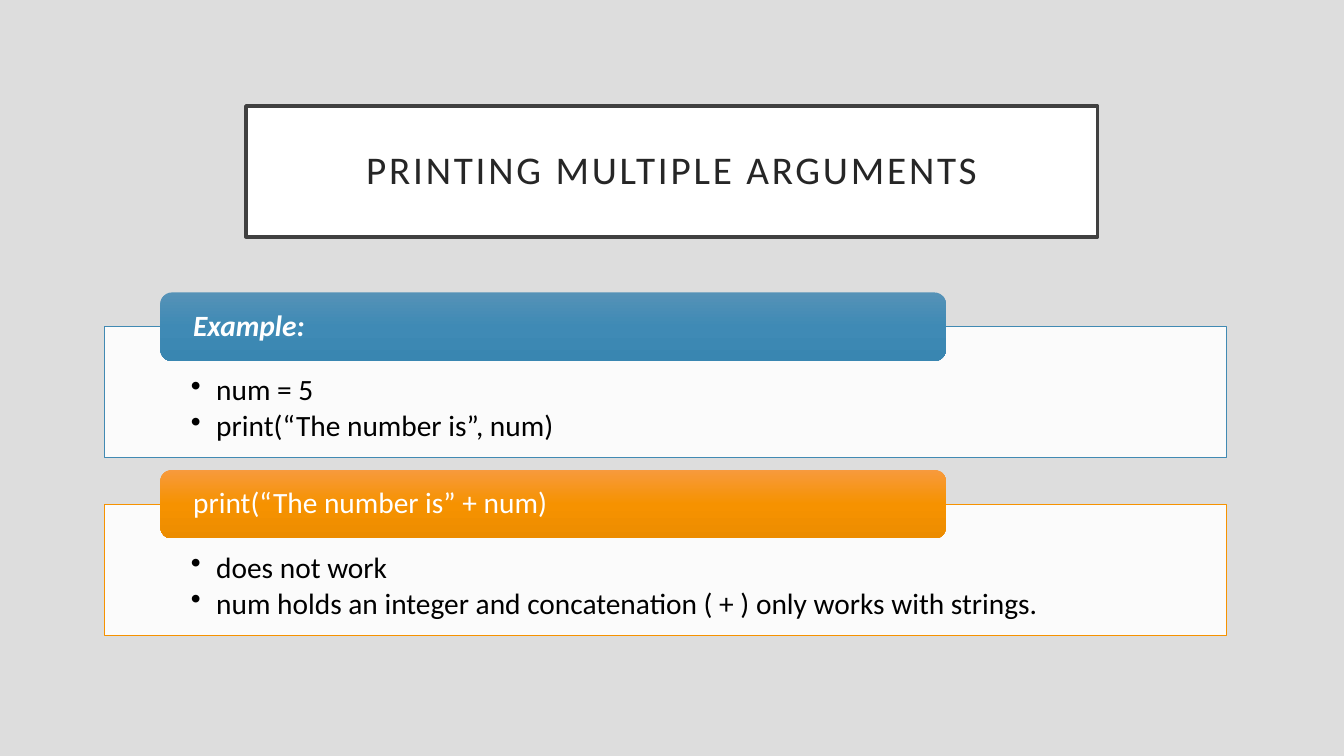
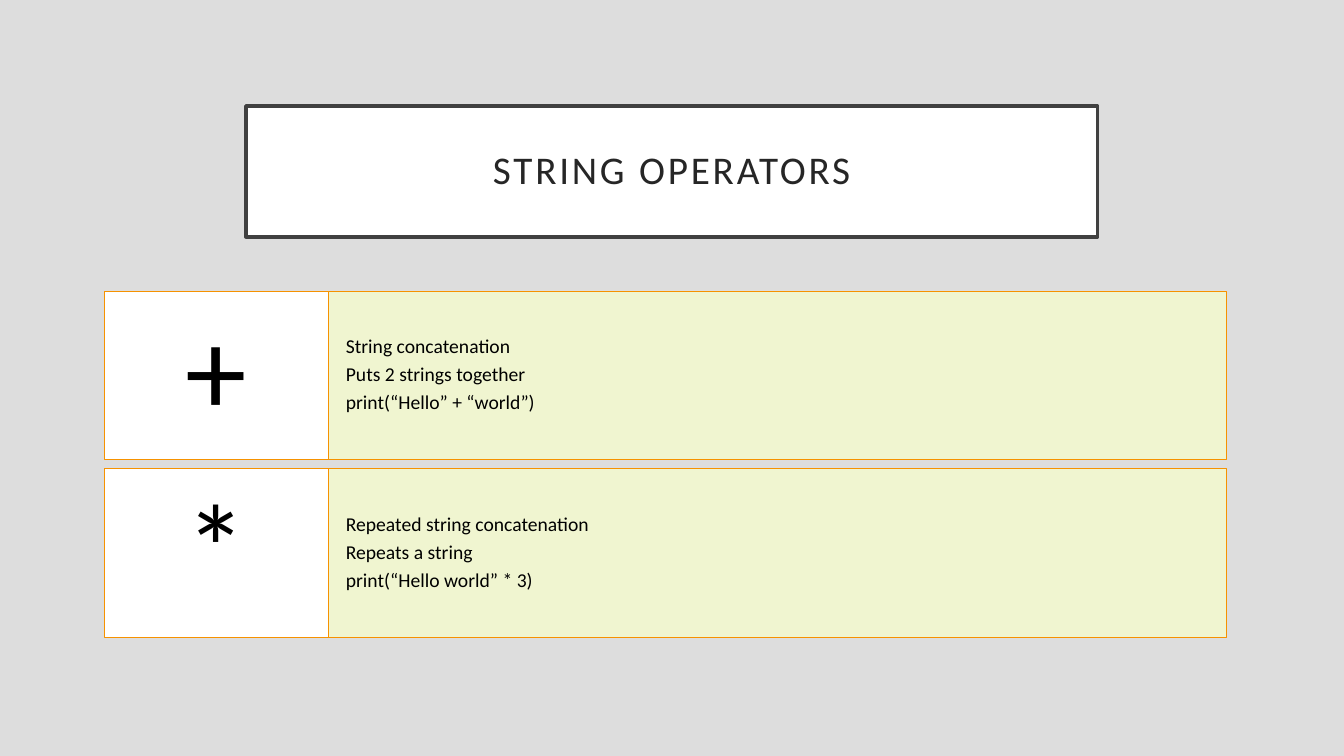
"""Build two slides on printing and string operators."""
from copy import deepcopy
from dataclasses import dataclass

from pptx import Presentation
from pptx import util as u
from pptx.dml.color import RGBColor
from pptx.enum import shapes, text
from pptx.oxml.ns import qn
from pptx.oxml.xmlchemy import OxmlElement


@dataclass(frozen=True)
class Theme:
    """Colours, font and type sizes of the presentation."""
    font: str = "Calibri"
    background: str = "DDDDDD"
    white: str = "FFFFFF"
    black: str = "000000"
    frame: str = "404040"
    title: str = "262626"
    blue: str = "418AB3"
    orange: str = "F69200"
    pale_green: str = "F0F5D0"
    blue_gradient: tuple = ("5592B7", "3F8AB5", "3986B1")
    orange_gradient: tuple = ("F79A3D", "F69200", "EC8C00")
    title_size: int = 28
    card_size: int = 21
    detail_size: int = 14
    symbol_size: int = 88
    hairline: float = 0.5
    frame_line: float = 2.5


@dataclass(frozen=True)
class Box:
    """A rectangle measured in centimetres."""
    left: float
    top: float
    width: float
    height: float

    def lengths(self):
        """Return the four measures as lengths."""
        return [u.Cm(n) for n in (self.left, self.top, self.width, self.height)]

    def rows(self, count, gap):
        """Split the box into equal rows."""
        height = (self.height - gap * (count - 1)) / count
        return [Box(self.left, self.top + i * (height + gap), self.width, height)
                for i in range(count)]


THEME = Theme()
TITLE_BOX = Box(6.2, 2.67, 21.46, 3.3)
CARDS_BOX = Box(2.63, 7.37, 28.28, 8.63)
OPERATORS_BOX = Box(2.63, 7.34, 28.28, 8.71)


def rgb(code):
    """Turn a hex code into a colour."""
    return RGBColor.from_string(code)


def paint(shape, fill, line, width):
    """Give a shape a solid fill and an outline."""
    shape.fill.solid()
    shape.fill.fore_color.rgb = rgb(fill)
    shape.line.color.rgb = rgb(line)
    shape.line.width = u.Pt(width)


def add_panel(slide, box, fill, line):
    """Add a thinly outlined rectangle."""
    shape = slide.shapes.add_shape(shapes.MSO_SHAPE.RECTANGLE, *box.lengths())
    shape.shadow.inherit = False
    paint(shape, fill, line, THEME.hairline)
    return shape


def set_opacity(shape, percent):
    """Make a solid fill partly transparent."""
    alpha = OxmlElement("a:alpha")
    alpha.set("val", str(percent * 1000))
    shape._element.spPr.find(qn("a:solidFill"))[0].append(alpha)


def set_gradient(shape, colors):
    """Fill a shape from top to bottom with three colours."""
    shape.fill.gradient()
    shape.fill.gradient_angle = 270
    stop_list = shape._element.spPr.find(".//" + qn("a:gsLst"))
    stop_list.append(deepcopy(stop_list[0]))
    for stop, color, position in zip(shape.fill.gradient_stops, colors, (0, 0.5, 1)):
        stop.color.rgb = rgb(color)
        stop.position = position


def set_bullet(paragraph):
    """Give a paragraph a hanging bullet."""
    properties = paragraph._p.get_or_add_pPr()
    properties.set("marL", str(u.Cm(0.64)))
    properties.set("indent", str(-u.Cm(0.64)))
    bullet = OxmlElement("a:buChar")
    bullet.set("char", "•")
    properties.append(bullet)


def write(shape, lines, size, color, insets, *, anchor=text.MSO_ANCHOR.MIDDLE,
          align=text.PP_ALIGN.LEFT, after=0.35, bullets=False, emphasis=False):
    """Write one paragraph per line and return the runs."""
    frame = shape.text_frame
    frame.word_wrap = True
    frame.auto_size = text.MSO_AUTO_SIZE.NONE
    frame.vertical_anchor = anchor
    frame.margin_left = frame.margin_right = u.Cm(insets[0])
    frame.margin_top, frame.margin_bottom = u.Cm(insets[1]), u.Cm(insets[2])
    runs = []
    for index, line in enumerate(lines):
        paragraph = frame.add_paragraph() if index else frame.paragraphs[0]
        paragraph.alignment = align
        paragraph.line_spacing = 0.9
        paragraph.space_before = u.Pt(0)
        paragraph.space_after = u.Pt(round(size * after, 2))
        if bullets:
            set_bullet(paragraph)
        run = paragraph.add_run()
        run.text = line
        run.font.name = THEME.font
        run.font.size = u.Pt(size)
        run.font.color.rgb = rgb(color)
        if emphasis:
            run.font.bold = run.font.italic = True
        runs.append(run)
    return runs


def add_titled_slide(presentation, title):
    """Add a title-only slide with the framed title."""
    slide = presentation.slides.add_slide(presentation.slide_layouts[5])
    shape = slide.shapes.title
    shape.left, shape.top, shape.width, shape.height = TITLE_BOX.lengths()
    paint(shape, THEME.white, THEME.frame, THEME.frame_line)
    runs = write(shape, [title], THEME.title_size, THEME.title, (0.51, 0.51, 0.51),
                 align=text.PP_ALIGN.CENTER, after=0)
    runs[0].font._element.set("spc", "200")
    return slide


def add_card(slide, box, heading, lines, color, gradient, emphasis):
    """Add a bulleted panel with a rounded heading over its top edge."""
    tab_height = 1.73
    overlap = tab_height / 2
    panel = add_panel(slide, Box(box.left, box.top + overlap, box.width,
                                 box.height - overlap), THEME.white, color)
    set_opacity(panel, 90)
    write(panel, lines, THEME.card_size, THEME.black, (2.18, 1.22, 0.41),
          anchor=text.MSO_ANCHOR.TOP, after=0.15, bullets=True)
    tab_box = Box(box.left + box.width * 0.05, box.top, box.width * 0.7, tab_height)
    tab = slide.shapes.add_shape(shapes.MSO_SHAPE.ROUNDED_RECTANGLE, *tab_box.lengths())
    tab.shadow.inherit = False
    tab.line.fill.background()
    set_gradient(tab, gradient)
    write(tab, [heading], THEME.card_size, THEME.white, (0.74, 0, 0), emphasis=emphasis)


def add_operator(slide, box, symbol, lines):
    """Add an operator symbol beside its description."""
    symbol_width = box.width * 0.2
    details = add_panel(slide, Box(box.left + symbol_width, box.top,
                                   box.width - symbol_width, box.height),
                        THEME.pale_green, THEME.orange)
    write(details, lines, THEME.detail_size, THEME.black, (0.43, 1.07, 1.07))
    cell = add_panel(slide, Box(box.left, box.top, symbol_width, box.height),
                     THEME.white, THEME.orange)
    write(cell, [symbol], THEME.symbol_size, THEME.black, (0.3, 0.41, 0.41),
          align=text.PP_ALIGN.CENTER)


def build_arguments_slide(presentation):
    """Build the slide on printing several arguments."""
    slide = add_titled_slide(presentation, "PRINTING MULTIPLE ARGUMENTS")
    cards = (
        ("Example:", ("num = 5", "print(“The number is”, num)"),
         THEME.blue, THEME.blue_gradient, True),
        ("print(“The number is” + num)",
         ("does not work",
          "num holds an integer and concatenation ( + ) only works with strings."),
         THEME.orange, THEME.orange_gradient, False),
    )
    for box, card in zip(CARDS_BOX.rows(len(cards), 0.31), cards):
        add_card(slide, box, *card)


def build_operators_slide(presentation):
    """Build the slide on string operators."""
    slide = add_titled_slide(presentation, "STRING OPERATORS")
    operators = (
        ("+", ("String concatenation", "Puts 2 strings together",
               "print(“Hello” + “world”)")),
        ("*", ("Repeated string concatenation", "Repeats a string",
               "print(“Hello world” * 3)")),
    )
    for box, operator in zip(OPERATORS_BOX.rows(len(operators), 0.23), operators):
        add_operator(slide, box, *operator)


def main():
    """Build and save the presentation."""
    presentation = Presentation()
    presentation.slide_width = u.Cm(33.87)
    presentation.slide_height = u.Cm(19.05)
    background = presentation.slide_master.background.fill
    background.solid()
    background.fore_color.rgb = rgb(THEME.background)
    build_arguments_slide(presentation)
    build_operators_slide(presentation)
    presentation.save("out.pptx")


if __name__ == "__main__":
    main()
